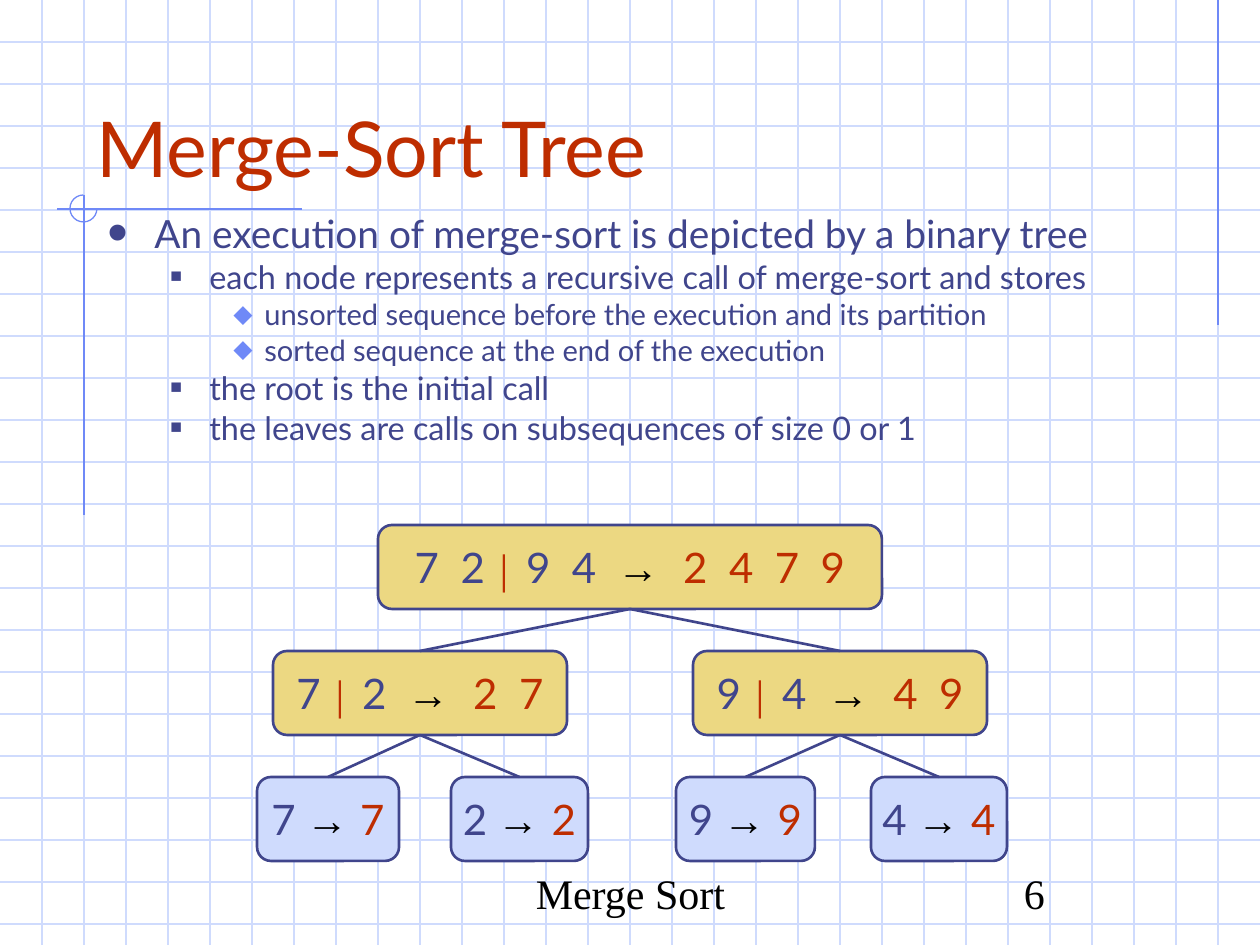
from dataclasses import dataclass

from lxml.etree import SubElement
from pptx import Presentation
from pptx.dml.color import RGBColor
from pptx.enum.shapes import MSO_CONNECTOR as Connector, MSO_SHAPE as Shape
from pptx.enum.text import MSO_ANCHOR as Anchor, PP_ALIGN as Align
from pptx.oxml.ns import qn
from pptx.util import Emu, Pt


@dataclass(frozen=True)
class Theme:
    grid: str = "CFDBFD"
    rule: str = "6F89F7"
    ink: str = "40458C"
    accent: str = "BE2D00"
    black: str = "000000"
    inner: str = "ECD882"
    leaf: str = "CFDBFD"
    sans: str = "Lato"
    symbol: str = "Arial"
    serif: str = "Times New Roman"
    title_size: float = 44
    node_size: float = 24
    divider_size: float = 18
    footer_size: float = 24
    thin: float = 0.75
    thick: float = 1.5


THEME = Theme()
WIDTH, HEIGHT, CELL = 1260, 945, 42
NODE_HEIGHT = 84

TITLE = ("Merge-Sort Tree", (84, 42, 1071, 157))
BODY_BOX = (95, 212, 1112, 304)
BODY = [
    (0, "An execution of merge-sort is depicted by a binary tree"),
    (1, "each node represents a recursive call of merge-sort and stores"),
    (2, "unsorted sequence before the execution and its partition"),
    (2, "sorted sequence at the end of the execution"),
    (1, "the root is the initial call"),
    (1, "the leaves are calls on subsequences of size 0 or 1"),
]
LEVELS = [
    dict(size=22.2, before=6, margin=47, hang=47, bullet="•", scale=151, color=THEME.ink),
    dict(size=18.5, before=5, margin=102, hang=39, bullet="■", scale=60, color=THEME.ink),
    dict(size=16.6, before=4.5, margin=157, hang=31, bullet="⬥", scale=95, color=THEME.rule),
]
NODES = {
    "root": (["7  2", "9  4"], "2  4  7  9", 378, 525, 504),
    "left": (["7", "2"], "2  7", 273, 651, 294),
    "right": (["9", "4"], "4  9", 693, 651, 294),
    "seven": (["7"], "7", 257, 777, 142),
    "two": (["2"], "2", 451, 777, 137),
    "nine": (["9"], "9", 676, 777, 139),
    "four": (["4"], "4", 871, 777, 136),
}
CHILDREN = {"root": ["left", "right"], "left": ["seven", "two"], "right": ["nine", "four"]}
RULES = [(1218, 0, 1218, 325), (302, 209, 57, 209), (84, 195, 84, 515)]
ARC_BOX = (70, 195, 27, 27)
FOOTERS = [("Merge Sort", (431, 861, 399, 63)), ("6", (903, 861, 263, 63))]


def px(length):
    return Emu(round(length * 914400 / 126))


def color(value):
    return RGBColor.from_string(value)


def style(span, size, font, ink, bold=False):
    span.font.size = Pt(size)
    span.font.name = font
    span.font.bold = bold
    span.font.color.rgb = color(ink)


def outline(shape, ink, weight):
    shape.line.color.rgb = color(ink)
    shape.line.width = Pt(weight)


def add_line(page, ends, ink, weight):
    line = page.shapes.add_connector(Connector.STRAIGHT, *map(px, ends))
    outline(line, ink, weight)
    SubElement(line._element.spPr, qn("a:effectLst"))
    return line


def add_text(page, box, anchor):
    frame = page.shapes.add_textbox(*map(px, box)).text_frame
    frame.word_wrap = True
    frame.vertical_anchor = anchor
    return frame


def add_label(page, text, box, size, font, ink, align):
    para = add_text(page, box, Anchor.BOTTOM).paragraphs[0]
    para.text = text
    para.alignment = align
    style(para.runs[0], size, font, ink)


def add_background(page):
    for x in range(CELL, WIDTH, CELL):
        add_line(page, (x, 0, x, HEIGHT), THEME.grid, THEME.thin)
    for y in range(CELL, HEIGHT, CELL):
        add_line(page, (0, y, WIDTH, y), THEME.grid, THEME.thin)
    for ends in RULES:
        add_line(page, ends, THEME.rule, THEME.thin)
    arc = page.shapes.add_shape(Shape.ARC, *map(px, ARC_BOX))
    arc.adjustments[0], arc.adjustments[1] = 0, 162
    arc.shadow.inherit = False
    arc.fill.background()
    outline(arc, THEME.rule, THEME.thin)


def add_bullet(para, level):
    props = para._p.get_or_add_pPr()
    props.set("marL", str(px(level["margin"])))
    props.set("indent", str(-px(level["hang"])))
    SubElement(SubElement(props, qn("a:buClr")), qn("a:srgbClr"), val=level["color"])
    SubElement(props, qn("a:buSzPct"), val=str(level["scale"] * 1000))
    SubElement(props, qn("a:buFont"), typeface=THEME.symbol)
    SubElement(props, qn("a:buChar"), char=level["bullet"])


def add_body(page):
    frame = add_text(page, BODY_BOX, Anchor.TOP)
    frame.text = "\n".join(text for _, text in BODY)
    for para, (depth, _) in zip(frame.paragraphs, BODY):
        level = LEVELS[depth]
        para.level = depth
        para.line_spacing = 0.8
        para.space_before = Pt(level["before"])
        add_bullet(para, level)
        style(para.runs[0], level["size"], THEME.sans, THEME.ink)


def node_spans(parts, result):
    number = (THEME.node_size, THEME.sans, THEME.ink)
    divider = (THEME.divider_size, THEME.symbol, THEME.accent, True)
    arrow = (THEME.node_size, THEME.symbol, THEME.black, True)
    answer = (THEME.node_size, THEME.sans, THEME.accent)
    if len(parts) == 1:
        return [(f"{parts[0]} ", number), ("→ ", arrow), (result, answer)]
    return [(f"{parts[0]} ", number), ("│", divider), (f" {parts[1]}  ", number),
            ("→  ", arrow), (result, answer)]


def add_node(page, parts, result, left, top, width):
    node = page.shapes.add_shape(
        Shape.ROUNDED_RECTANGLE, *map(px, (left, top, width, NODE_HEIGHT)))
    node.shadow.inherit = False
    node.fill.solid()
    node.fill.fore_color.rgb = color(THEME.inner if len(parts) > 1 else THEME.leaf)
    outline(node, THEME.ink, THEME.thick)
    frame = node.text_frame
    frame.word_wrap = False
    frame.vertical_anchor = Anchor.MIDDLE
    para = frame.paragraphs[0]
    para.alignment = Align.CENTER
    for text, look in node_spans(parts, result):
        span = para.add_run()
        span.text = text
        style(span, *look)
    return node


def add_tree(page):
    nodes = {name: add_node(page, *content) for name, content in NODES.items()}
    for parent, children in CHILDREN.items():
        for child in children:
            edge = add_line(page, (0, 0, 0, 0), THEME.ink, THEME.thick)
            edge.begin_connect(nodes[parent], 2)
            edge.end_connect(nodes[child], 0)


def main():
    deck = Presentation()
    deck.slide_width, deck.slide_height = px(WIDTH), px(HEIGHT)
    page = deck.slides.add_slide(deck.slide_layouts[6])
    add_background(page)
    add_label(page, *TITLE, THEME.title_size, THEME.sans, THEME.accent, Align.LEFT)
    add_body(page)
    add_tree(page)
    for text, box in FOOTERS:
        add_label(page, text, box, THEME.footer_size, THEME.serif, THEME.black, Align.CENTER)
    deck.save("out.pptx")


if __name__ == "__main__":
    main()
